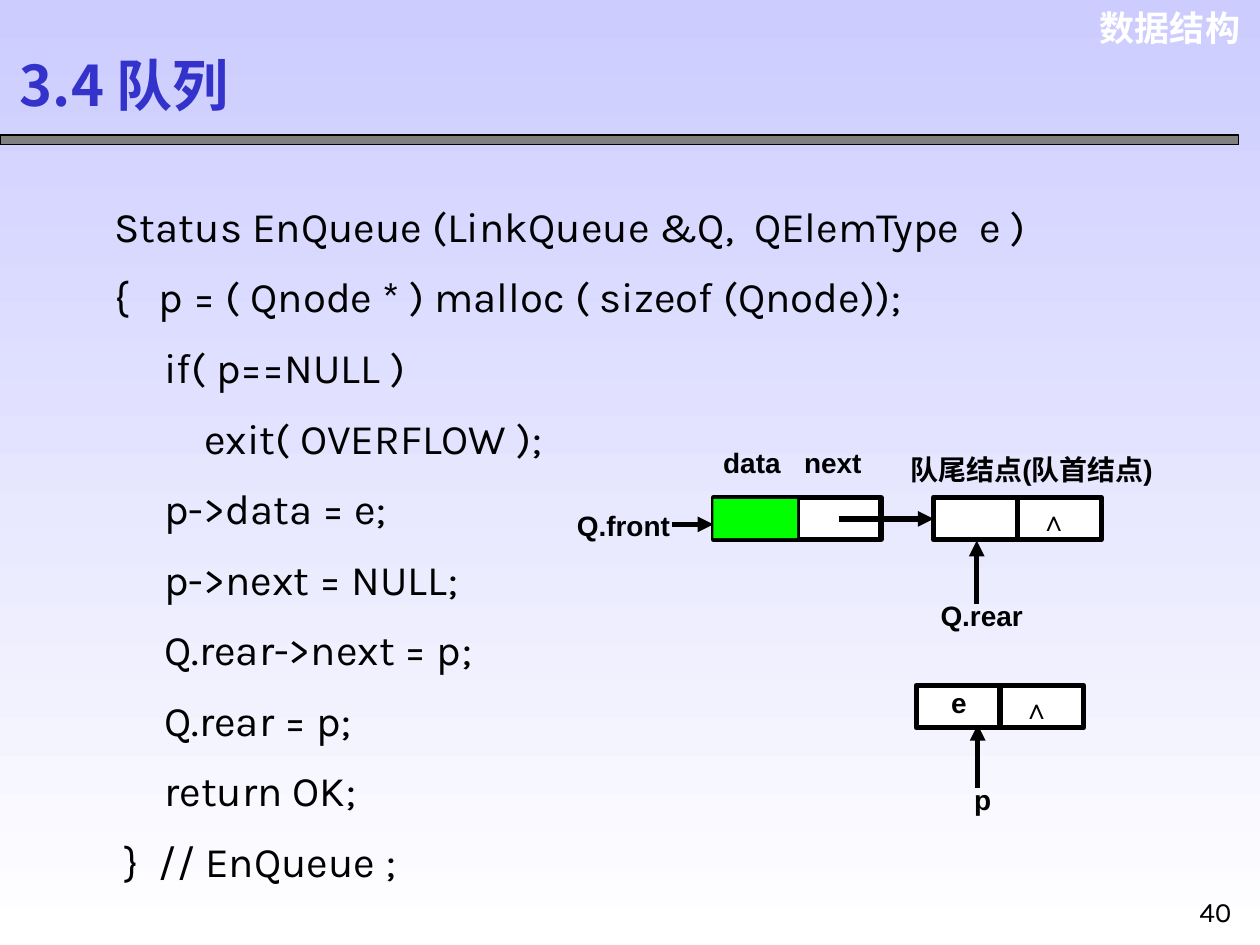
import pptx
import pptx.util
import pptx.dml.color
import pptx.enum.shapes
import pptx.enum.text
import pptx.oxml.ns
import pptx.oxml.xmlchemy
from dataclasses import dataclass

Cm, Pt = pptx.util.Cm, pptx.util.Pt
ALIGN = pptx.enum.text.PP_ALIGN
ANCHOR = pptx.enum.text.MSO_ANCHOR


@dataclass(frozen=True)
class Theme:
    sky: str = "CCCCFF"
    white: str = "FFFFFF"
    black: str = "000000"
    grey: str = "808080"
    blue: str = "3333CC"
    green: str = "00FF00"
    label_font: str = "Arial"
    code_font: str = "Karla"
    cjk_font: str = "Noto Sans CJK SC"
    title: int = 32
    code: int = 24
    header: int = 20
    label: int = 16
    stroke: float = 3


def rgb(value):
    return pptx.dml.color.RGBColor.from_string(value)


def element(tag, **attributes):
    el = pptx.oxml.xmlchemy.OxmlElement(tag)
    for name, value in attributes.items():
        el.set(name, str(value))
    return el


def write(tf, text, *, size, font, color, bold=False, align=ALIGN.LEFT,
          spacing=None, tab=None, east_asian=None):
    """Fill a text frame with one paragraph for each line of text."""
    for i, line in enumerate(text.split("\n")):
        p = tf.paragraphs[0] if i == 0 else tf.add_paragraph()
        p.alignment = align
        if spacing:
            p.line_spacing = spacing
        if tab:
            tabs = element("a:tabLst")
            tabs.append(element("a:tab", pos=int(Cm(tab)), algn="l"))
            p._p.get_or_add_pPr().append(tabs)
        r = p.add_run()
        r.text = line
        f = r.font
        f.size, f.name, f.bold = Pt(size), font, bold
        f.color.rgb = rgb(color)
        if east_asian:
            latin = r._r.rPr.find(pptx.oxml.ns.qn("a:latin"))
            latin.addnext(element("a:ea", typeface=east_asian))


class Board:
    """The current slide and its style; all lengths are in centimetres."""

    def __init__(self, s, theme):
        self.s, self.theme = s, theme

    def background(self):
        fill = self.s.background.fill
        fill.gradient()
        fill.gradient_angle = 270
        for i, color in enumerate((self.theme.sky, self.theme.white)):
            stop = fill.gradient_stops[i]
            stop.color.rgb = rgb(color)
            stop.position = i

    def text(self, text, x, y, w, h, anchor=ANCHOR.TOP, **style):
        sp = self.s.shapes.add_textbox(Cm(x), Cm(y), Cm(w), Cm(h))
        tf = sp.text_frame
        tf.word_wrap = True
        tf.vertical_anchor = anchor
        write(tf, text, **style)

    def label(self, text, x, y, w=2.74, align=ALIGN.CENTER, **style):
        t = self.theme
        self.text(text, x, y, w, 0.94, size=t.label, font=t.label_font,
                  color=t.black, bold=True, align=align, **style)

    def rect(self, x, y, w, h, fill, stroke=None):
        sp = self.s.shapes.add_shape(pptx.enum.shapes.MSO_SHAPE.RECTANGLE,
                                     Cm(x), Cm(y), Cm(w), Cm(h))
        sp.shadow.inherit = False
        sp.fill.solid()
        sp.fill.fore_color.rgb = rgb(fill)
        if stroke:
            sp.line.color.rgb = rgb(self.theme.black)
            sp.line.width = Pt(stroke)
        else:
            sp.line.fill.background()

    def line(self, x1, y1, x2, y2, arrow=False):
        sp = self.s.shapes.add_connector(pptx.enum.shapes.MSO_CONNECTOR.STRAIGHT,
                                         Cm(x1), Cm(y1), Cm(x2), Cm(y2))
        sp.line.color.rgb = rgb(self.theme.black)
        sp.line.width = Pt(self.theme.stroke)
        props = sp._element.spPr
        if arrow:
            props.get_or_add_ln().append(element("a:tailEnd", type="triangle"))
        props.append(element("a:effectLst"))

    def node(self, x, y):
        """A list node: data cell on the left, next cell on the right."""
        self.rect(x, y, NODE_W, NODE_H, self.theme.white, self.theme.stroke)
        self.line(x + NODE_W / 2, y, x + NODE_W / 2, y + NODE_H)


NODE_W, NODE_H = 3.38, 0.85
HEAD_X, REAR_X, QUEUE_Y = 14.38, 18.82, 10.03
NEW_X, NEW_Y = 18.47, 13.82

CODE = """Status EnQueue (LinkQueue &Q,  QElemType  e )
{   p = ( Qnode * ) malloc ( sizeof (Qnode));
     if( p==NULL )
         exit( OVERFLOW );
     p->data = e;
     p->next = NULL;
     Q.rear->next = p;
     Q.rear = p;
     return OK;
 }  // EnQueue ;"""


def main():
    prs = pptx.Presentation()
    prs.slide_width, prs.slide_height = Cm(25.4), Cm(19.05)
    t = Theme()
    b = Board(prs.slides.add_slide(prs.slide_layouts[6]), t)

    # Frame: background, course name, rule, title and page number
    b.background()
    b.text("数据结构", 21.77, 0, 3.48, 1.12, size=t.header, font=t.label_font,
           color=t.white, bold=True, align=ALIGN.RIGHT, east_asian=t.cjk_font)
    b.rect(0, 2.72, 24.97, 0.2, t.grey, 0.75)
    b.text("3.4 队列", 0.15, 0.76, 9.07, 1.88, anchor=ANCHOR.MIDDLE, size=t.title,
           font=t.cjk_font, color=t.blue, bold=True, east_asian=t.cjk_font)
    b.text("40", 23.93, 17.91, 1.27, 1.07, size=t.label, font=t.code_font,
           color=t.black)

    # Code listing
    b.text(CODE, 2.06, 3.51, 21.54, 14.48, size=t.code, font=t.code_font,
           color=t.black, spacing=1.4)

    # Queue: head node and rear node
    b.node(HEAD_X, QUEUE_Y)
    b.rect(HEAD_X, QUEUE_Y + 0.03, NODE_W / 2, 0.79, t.green)
    b.label("data\tnext", 14.33, 8.86, 3.6, ALIGN.LEFT, tab=1.63)
    b.node(REAR_X, QUEUE_Y)
    b.label("队尾结点(队首结点)", 18.11, 8.99, 6.1, ALIGN.LEFT, east_asian=t.cjk_font)
    b.label("∧", REAR_X + NODE_W / 2, QUEUE_Y, 1.47)
    b.line(16.92, 10.46, REAR_X, 10.46, arrow=True)

    # Queue pointers
    b.label("Q.front", 11.2, 10.13)
    b.line(13.54, 10.57, HEAD_X, 10.57, arrow=True)
    b.label("Q.rear", 18.42, 11.94)
    b.line(19.69, 12.17, 19.69, 10.9, arrow=True)

    # New node and its pointer
    b.node(NEW_X, NEW_Y)
    b.label("e", 17.96, 13.69)
    b.label("∧", NEW_X + NODE_W / 2, NEW_Y, 1.47)
    b.label("p", 18.44, 15.65)
    b.line(19.71, 15.88, 19.71, 14.61, arrow=True)

    prs.save("out.pptx")


if __name__ == "__main__":
    main()
